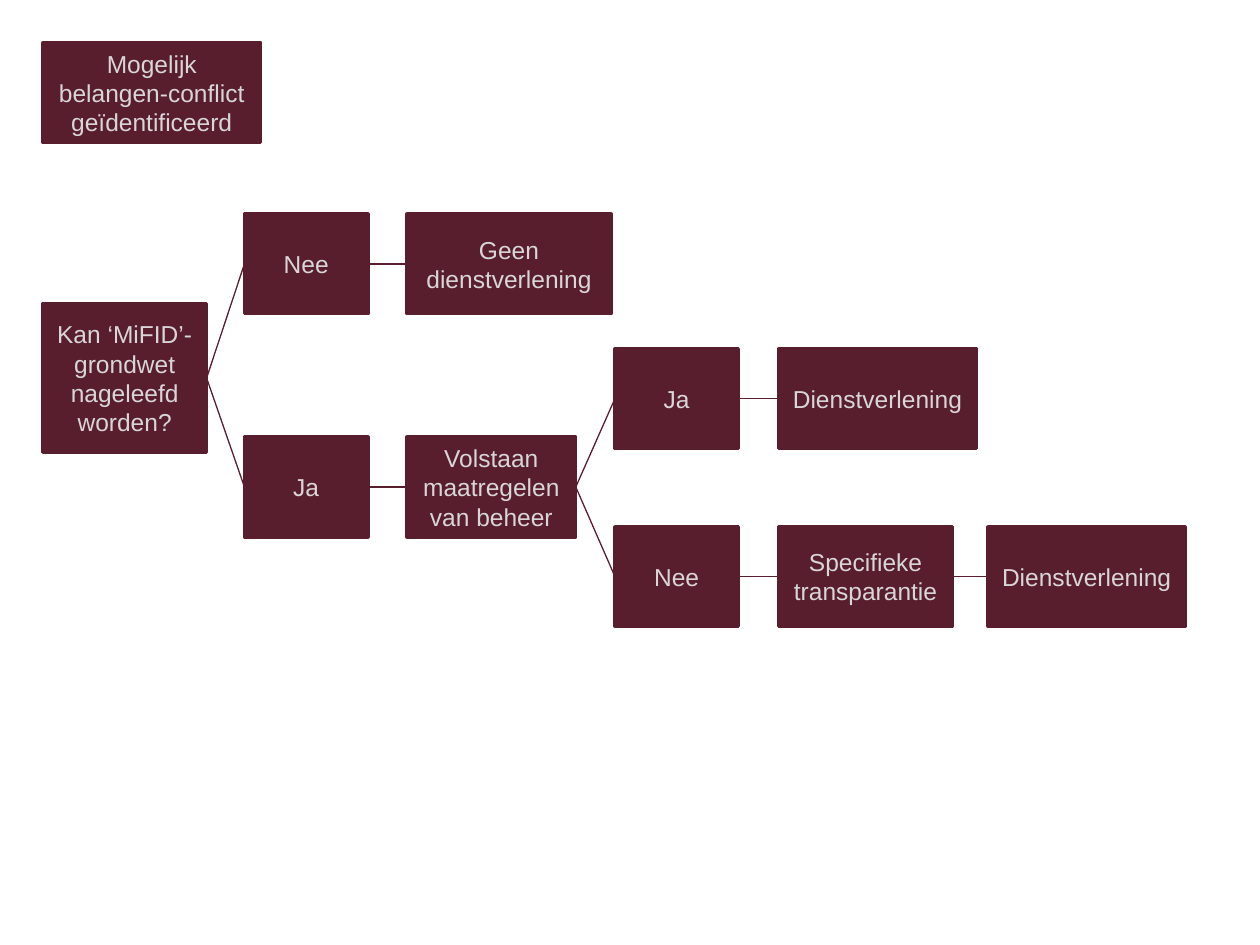
from dataclasses import dataclass
from pptx import Presentation
from pptx.dml.color import RGBColor
from pptx.enum.shapes import MSO_CONNECTOR, MSO_SHAPE
from pptx.enum.text import MSO_ANCHOR, PP_ALIGN
from pptx.util import Inches, Pt
from lxml.etree import SubElement
from pptx.oxml.ns import qn


@dataclass(frozen=True)
class Theme:
    fill: RGBColor = RGBColor(0x58, 0x1E, 0x2D)
    text: RGBColor = RGBColor(0xD8, 0xD6, 0xD8)
    font: str = "Arial"
    size: Pt = Pt(14)
    edge: Pt = Pt(2)
    link: Pt = Pt(0.75)


theme = Theme()
cols = [0.34, 1.94, 3.23, 4.88, 6.18, 7.84]
rows = {"start": 0.34, "stop": 1.7, "ask": 2.41, "serve": 2.77, "rule": 3.47, "tell": 4.18}
tall = {"ask": 1.18}
height = 0.79

steps = {
    "ask": ("Kan ‘MiFID’-grondwet nageleefd worden?", 0, "ask", 1.3),
    "start": ("Mogelijk belangen-conflict geïdentificeerd", 0, "start", 1.73),
    "no": ("Nee", 1, "stop", 0.98),
    "yes": ("Ja", 1, "rule", 0.98),
    "none": ("Geen dienstverlening", 2, "stop", 1.62),
    "check": ("Volstaan maatregelen van beheer", 2, "rule", 1.34),
    "enough": ("Ja", 3, "serve", 0.98),
    "short": ("Nee", 3, "tell", 0.98),
    "serve": ("Dienstverlening", 4, "serve", 1.57),
    "tell": ("Specifieke transparantie", 4, "tell", 1.38),
    "after": ("Dienstverlening", 5, "tell", 1.57),
}
links = [
    ("ask", "no"), ("no", "none"),
    ("ask", "yes"), ("yes", "check"),
    ("check", "enough"), ("check", "short"),
    ("enough", "serve"), ("short", "tell"), ("tell", "after"),
]
LEFT, RIGHT = 1, 3


def add_box(slide, text, col, row, width):
    box = slide.shapes.add_shape(
        MSO_SHAPE.RECTANGLE, Inches(cols[col]), Inches(rows[row]),
        Inches(width), Inches(tall.get(row, height)))
    box.shadow.inherit = False
    box.fill.solid()
    box.fill.fore_color.rgb = theme.fill
    box.line.color.rgb = theme.fill
    box.line.width = theme.edge
    frame = box.text_frame
    frame.word_wrap = True
    frame.vertical_anchor = MSO_ANCHOR.MIDDLE
    para = frame.paragraphs[0]
    para.alignment = PP_ALIGN.CENTER
    run = para.add_run()
    run.text = text
    run.font.name = theme.font
    run.font.size = theme.size
    run.font.color.rgb = theme.text
    return box


def add_link(slide, head, tail):
    line = slide.shapes.add_connector(MSO_CONNECTOR.STRAIGHT, 0, 0, 0, 0)
    line.begin_connect(head, RIGHT)
    line.end_connect(tail, LEFT)
    line.line.color.rgb = theme.fill
    line.line.width = theme.link
    SubElement(line._element.spPr, qn("a:effectLst"))


deck = Presentation()
deck.slide_width, deck.slide_height = Inches(10), Inches(7.5)
slide = deck.slides.add_slide(deck.slide_layouts[6])
boxes = {name: add_box(slide, *step) for name, step in steps.items()}
for head, tail in links:
    add_link(slide, boxes[head], boxes[tail])
deck.save("out.pptx")
